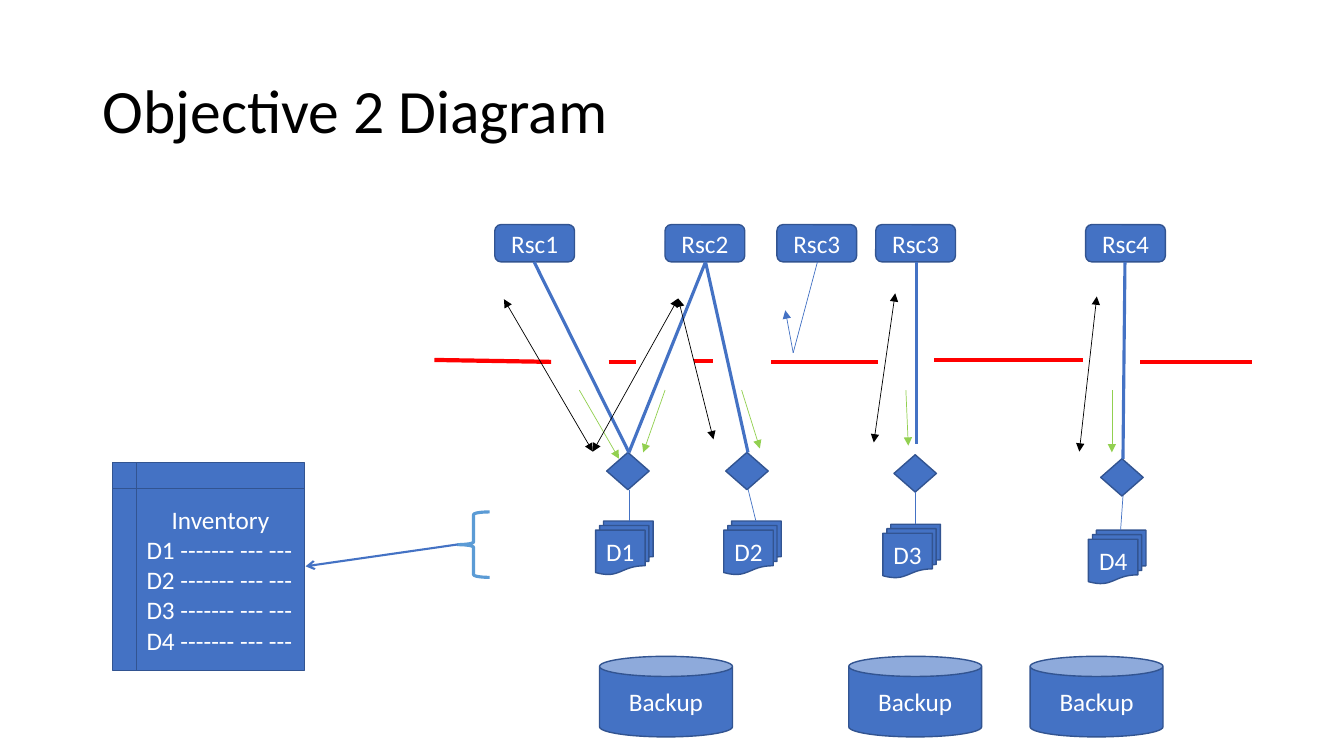
from dataclasses import dataclass
from typing import NamedTuple

from lxml import etree
from pptx import Presentation
from pptx.dml.color import RGBColor
from pptx.enum.shapes import MSO_CONNECTOR, MSO_SHAPE
from pptx.enum.text import MSO_ANCHOR, PP_ALIGN
from pptx.oxml.ns import qn
from pptx.shapes.autoshape import Shape
from pptx.slide import Slide
from pptx.text.text import TextFrame
from pptx.util import Cm, Pt

STRAIGHT = MSO_CONNECTOR.STRAIGHT
ROUNDED = MSO_SHAPE.ROUNDED_RECTANGLE
DIAMOND = MSO_SHAPE.DIAMOND
DOCUMENTS = MSO_SHAPE.FLOWCHART_MULTIDOCUMENT
STORAGE = MSO_SHAPE.FLOWCHART_INTERNAL_STORAGE
CAN = MSO_SHAPE.CAN
LEFT_BRACE = MSO_SHAPE.LEFT_BRACE
MIDDLE = MSO_ANCHOR.MIDDLE
LEFT = PP_ALIGN.LEFT
CENTER = PP_ALIGN.CENTER

BLACK = RGBColor(0x00, 0x00, 0x00)
WHITE = RGBColor(0xFF, 0xFF, 0xFF)
BLUE = RGBColor(0x44, 0x72, 0xC4)
DARK_BLUE = RGBColor(0x32, 0x54, 0x91)
LIGHT_BLUE = RGBColor(0x5B, 0x9B, 0xD5)
RED = RGBColor(0xFF, 0x00, 0x00)
GREEN = RGBColor(0x92, 0xD0, 0x50)

LABEL_FONT = {"name": "Calibri", "size": Pt(18)}
TITLE_FONT = {"name": "Calibri", "size": Pt(44)}
FRAME_FORMAT = {"word_wrap": True, "vertical_anchor": MIDDLE}


@dataclass(frozen=True)
class NodeKind:
    preset: MSO_SHAPE
    width: float
    height: float


class Node(NamedTuple):
    kind: NodeKind
    left: float
    top: float
    label: str = ""


@dataclass(frozen=True)
class Stroke:
    color: RGBColor
    points: float
    head: str = ""
    tail: str = ""


class Segment(NamedTuple):
    x1: float
    y1: float
    x2: float
    y2: float


RESOURCE = NodeKind(ROUNDED, 2.01, 0.94)
GATE = NodeKind(DIAMOND, 1.07, 0.94)
DATASET = NodeKind(DOCUMENTS, 1.45, 1.35)
BACKUP = NodeKind(CAN, 3.35, 2.03)
INVENTORY = NodeKind(STORAGE, 4.83, 5.23)
BRACE = NodeKind(LEFT_BRACE, 0.81, 1.65)

RESOURCE_TOP = 5.66
RESOURCE_BOTTOM = 6.6
BACKUP_TOP = 16.54
REQUEST_TOP = 9.83

RESOURCES = [
    Node(RESOURCE, left, RESOURCE_TOP, label)
    for left, label in [
        (12.47, "Rsc1"), (16.76, "Rsc2"), (19.58, "Rsc3"),
        (22.07, "Rsc3"), (27.36, "Rsc4"),
    ]
]
GATES = [
    Node(GATE, left, top)
    for left, top in [(15.29, 11.4), (18.29, 11.4), (22.53, 11.46), (27.74, 11.56)]
]
DATASET_PLACES = [(15.01, 13.13), (18.24, 13.13), (22.25, 13.21), (27.43, 13.36)]
DATASETS = [
    Node(DATASET, left, top, f"D{number}")
    for number, (left, top) in enumerate(DATASET_PLACES, 1)
]
BACKUPS = [Node(BACKUP, left, BACKUP_TOP, "Backup") for left in (15.11, 21.39, 25.96)]
INVENTORY_TEXT = "\n".join(
    ["Inventory"] + [f"{dataset.label} ------- --- ---" for dataset in DATASETS]
)
INVENTORY_NODE = Node(INVENTORY, 2.84, 11.66, INVENTORY_TEXT)
INVENTORY_BRACE = Node(BRACE, 11.53, 12.9)

ACCESS = Stroke(BLUE, 2.25)
THIN = Stroke(BLUE, 0.5)
REJECTED = Stroke(BLUE, 0.5, tail="triangle")
BARRIER = Stroke(RED, 3)
REQUEST = Stroke(GREEN, 0.5, tail="triangle")
EXCHANGE = Stroke(BLACK, 0.5, head="triangle", tail="triangle")
LISTING = Stroke(BLUE, 1.5, tail="arrow")

LINES: dict[Stroke, list[Segment]] = {
    ACCESS: [
        Segment(x1, RESOURCE_BOTTOM, x2, y2)
        for x1, x2, y2 in [
            (13.46, 15.85, 11.4), (17.78, 15.85, 11.4), (17.78, 18.85, 11.4),
            (23.09, 23.09, 11.18), (28.35, 28.3, 11.56),
        ]
    ],
    THIN: [
        Segment(15.85, 12.34, 15.85, 13.13),
        Segment(18.85, 12.32, 19.05, 13.13),
        Segment(23.06, 12.4, 23.06, 13.21),
        Segment(28.3, 12.5, 28.24, 13.36),
        Segment(20.6, RESOURCE_BOTTOM, 19.99, 8.89),
    ],
    REJECTED: [Segment(19.99, 8.89, 19.79, 7.82)],
    BARRIER: [
        Segment(10.95, 9.07, 13.89, 9.12),
        Segment(15.34, 9.12, 16.03, 9.12),
        Segment(17.48, 9.09, 17.98, 9.09),
        Segment(19.43, 9.12, 22.12, 9.12),
        Segment(23.55, 9.07, 27.28, 9.07),
        Segment(28.73, 9.12, 31.55, 9.12),
    ],
    REQUEST: [
        Segment(x1, REQUEST_TOP, x2, y2)
        for x1, x2, y2 in [
            (14.6, 15.6, 11.56), (16.76, 16.21, 11.4), (18.69, 19.15, 11.3),
            (22.83, 22.89, 11.23), (28.02, 28.02, 11.4),
        ]
    ],
    LISTING: [Segment(11.53, 13.72, 7.7, 14.27)],
    EXCHANGE: [
        Segment(12.7, 7.54, 14.94, 11.38),
        Segment(17.09, 7.52, 14.94, 11.38),
        Segment(17.09, 7.52, 17.98, 11.07),
        Segment(22.56, 7.39, 22.02, 11.15),
        Segment(27.64, 7.47, 27.2, 11.38),
    ],
}


def apply_format(target: object, values: dict) -> None:
    for attribute, value in values.items():
        setattr(target, attribute, value)


def write_text(frame: TextFrame, text: str, font: dict, color: RGBColor,
               first: PP_ALIGN = CENTER) -> None:
    apply_format(frame, FRAME_FORMAT)
    frame.text = text
    for index, paragraph in enumerate(frame.paragraphs):
        paragraph.alignment = LEFT if index else first
        for run in paragraph.runs:
            apply_format(run.font, font)
            run.font.color.rgb = color


def draw_title(slide: Slide, text: str) -> None:
    title = slide.shapes.add_textbox(Cm(2.34), Cm(1.02), Cm(29.21), Cm(3.68))
    write_text(title.text_frame, text, TITLE_FONT, BLACK, LEFT)
    title.text_frame.paragraphs[0].line_spacing = 0.9


def draw_outline(slide: Slide, node: Node, stroke: Stroke) -> Shape:
    kind = node.kind
    outline = slide.shapes.add_shape(
        kind.preset, Cm(node.left), Cm(node.top), Cm(kind.width), Cm(kind.height))
    outline.shadow.inherit = False
    outline.fill.background()
    outline.line.color.rgb = stroke.color
    outline.line.width = Pt(stroke.points)
    return outline


def draw_node(slide: Slide, node: Node) -> None:
    body = draw_outline(slide, node, Stroke(DARK_BLUE, 1))
    body.fill.solid()
    body.fill.fore_color.rgb = BLUE
    if node.label:
        write_text(body.text_frame, node.label, LABEL_FONT, WHITE)


def draw_segment(slide: Slide, segment: Segment, stroke: Stroke) -> None:
    link = slide.shapes.add_connector(STRAIGHT, *(Cm(value) for value in segment))
    link.line.color.rgb = stroke.color
    link.line.width = Pt(stroke.points)
    outline = link.line._get_or_add_ln()
    for tag, arrow in (("a:headEnd", stroke.head), ("a:tailEnd", stroke.tail)):
        if arrow:
            etree.SubElement(outline, qn(tag), type=arrow)
    etree.SubElement(link._element.spPr, qn("a:effectLst"))


def main() -> None:
    deck = Presentation()
    deck.slide_width, deck.slide_height = Cm(33.87), Cm(19.05)
    slide = deck.slides.add_slide(deck.slide_layouts[6])
    draw_title(slide, "Objective 2 Diagram")
    for node in [*DATASETS, INVENTORY_NODE, *RESOURCES, *BACKUPS, *GATES]:
        draw_node(slide, node)
    draw_outline(slide, INVENTORY_BRACE, Stroke(LIGHT_BLUE, 2.25))
    for stroke, segments in LINES.items():
        for segment in segments:
            draw_segment(slide, segment, stroke)
    deck.save("out.pptx")


if __name__ == "__main__":
    main()
